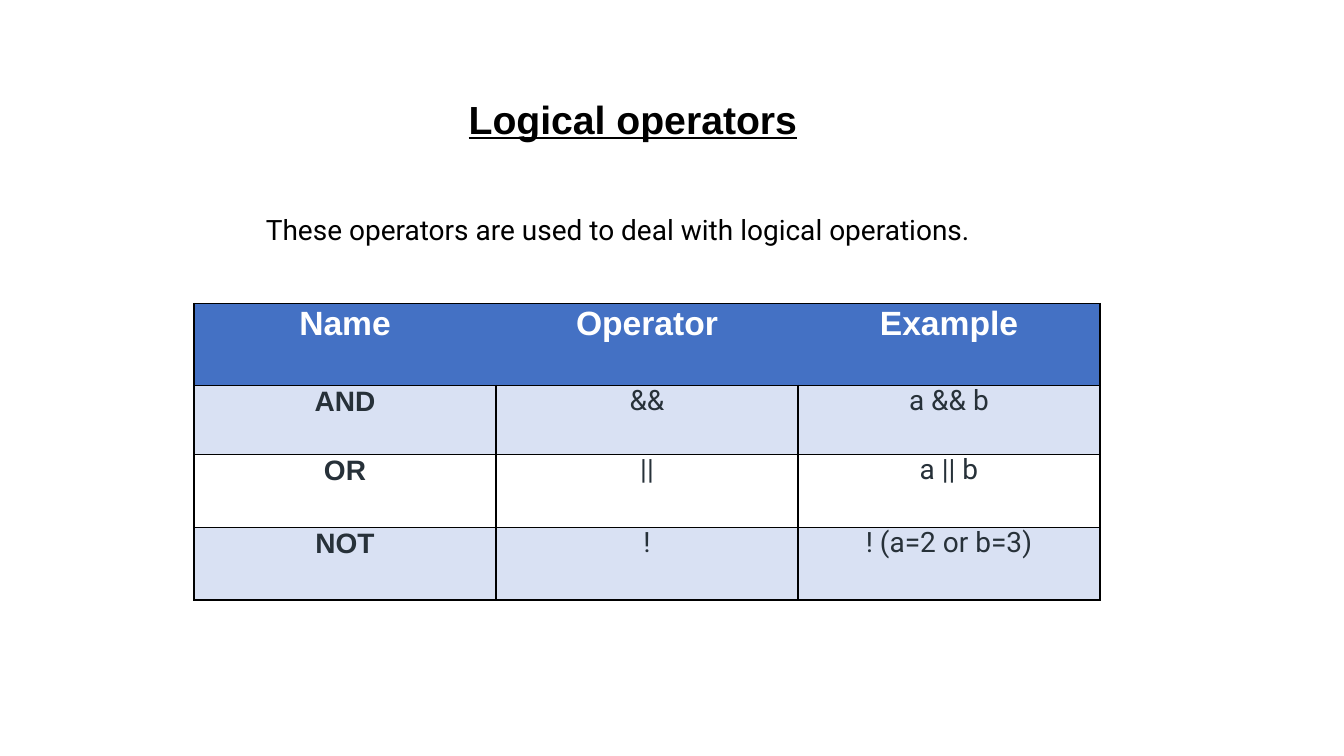
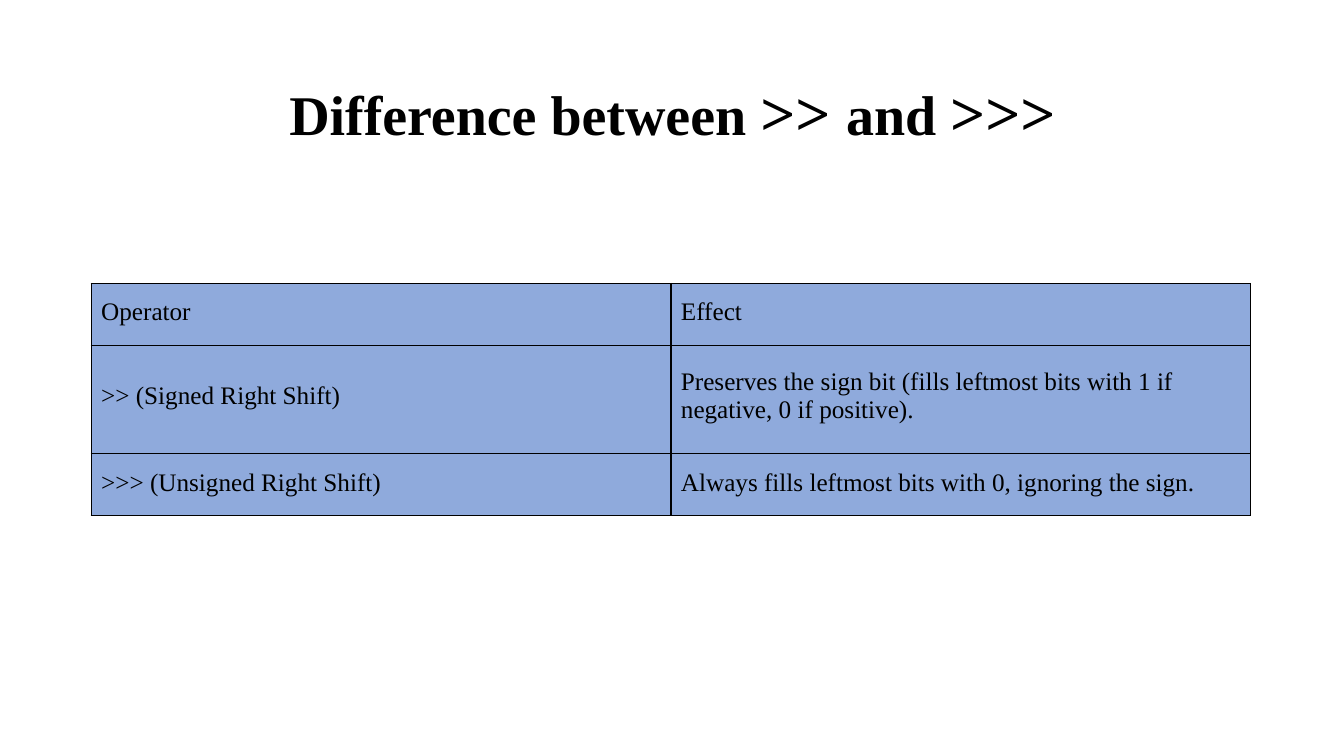
from dataclasses import dataclass
from typing import Any

from lxml import etree
from pptx import Presentation
from pptx.dml.color import RGBColor
from pptx.enum import text as t
from pptx.oxml.ns import qn
from pptx.util import Cm, Pt


@dataclass(frozen=True)
class Theme:
    ink: str = "000000"
    slate: str = "273139"
    white: str = "FFFFFF"
    header: str = "4471C4"
    band: str = "D9E1F3"
    shift: str = "8FAADC"
    sans: str = "Arial"
    body: str = "Roboto"
    serif: str = "Times New Roman"
    title: int = 28
    big_title: int = 40
    big_symbol: int = 44
    heading: int = 24
    text: int = 20
    small: int = 18
    border: float = 1


@dataclass(frozen=True)
class Grid:
    """Place of a table, in centimetres."""
    left: float
    top: float
    column: float
    rows: tuple[float, ...]


THEME = Theme()
LOGICAL = Grid(4.89, 7.65, 7.61, (2.06, 1.75, 1.83, 1.83))
SHIFTS = Grid(2.3, 7.14, 14.61, (1.56, 2.73, 1.56))

LOGICAL_ROWS = (
    ("Name", "Operator", "Example"),
    ("AND", "&&", "a && b"),
    ("OR", "||", "a || b"),
    ("NOT", "!", "! (a=2 or b=3)"),
)
# Each entry is the wording of a cell and its top margin in centimetres.
SHIFT_ROWS = (
    (("Operator", 0.38), ("Effect", 0.38)),
    ((">> (Signed Right Shift)", 0.93),
     ("Preserves the sign bit (fills leftmost bits with 1 if negative, 0 if positive).", 0.58)),
    ((">>> (Unsigned Right Shift)", 0.38),
     ("Always fills leftmost bits with 0, ignoring the sign.", 0.38)),
)


def add_span(para: Any, words: str, *, font: str, size: float, color: str = THEME.ink,
             bold: bool = False, underline: bool = False) -> None:
    span = para.add_run()
    span.text = words
    span.font.name = font
    span.font.size = Pt(size)
    span.font.color.rgb = RGBColor.from_string(color)
    span.font.bold = bold
    span.font.underline = underline


def set_frame(frame: Any, left: float = 0, top: float = 0) -> None:
    """Wrap the text from the top, with margins in centimetres."""
    frame.word_wrap = True
    frame.auto_size = t.MSO_AUTO_SIZE.NONE
    frame.vertical_anchor = t.MSO_ANCHOR.TOP
    frame.margin_left, frame.margin_top = Cm(left), Cm(top)
    frame.margin_right = frame.margin_bottom = 0


def add_titled_page(deck: Any, left: float, top: float) -> tuple[Any, Any]:
    """Return a new page and the paragraph of its title."""
    page = deck.slides.add_slide(deck.slide_layouts[5])
    title = page.shapes.title
    title.left, title.top, title.width, title.height = Cm(1.37), Cm(-0.15), Cm(31.14), Cm(4.29)
    set_frame(title.text_frame, left, top)
    para = title.text_frame.paragraphs[0]
    para.alignment = t.PP_ALIGN.LEFT
    return page, para


def add_grid(page: Any, grid: Grid, columns: int) -> Any:
    table = page.shapes.add_table(
        len(grid.rows), columns, Cm(grid.left), Cm(grid.top),
        Cm(grid.column * columns), Cm(sum(grid.rows))).table
    table.first_row = table.horz_banding = False
    for column in table.columns:
        column.width = Cm(grid.column)
    for row, height in zip(table.rows, grid.rows):
        row.height = Cm(height)
    return table


def set_borders(cell: Any, hidden: str = "") -> None:
    """Draw the sides L, R, T and B, except the hidden ones."""
    properties = cell._tc.get_or_add_tcPr()
    for index, side in enumerate("LRTB"):
        line = etree.Element(qn(f"a:ln{side}"), w=str(Pt(THEME.border)))
        if side in hidden:
            etree.SubElement(line, qn("a:noFill"))
        else:
            fill = etree.SubElement(line, qn("a:solidFill"))
            etree.SubElement(fill, qn("a:srgbClr"), val=THEME.ink)
        properties.insert(index, line)


def fill_cell(cell: Any, words: str, *, fill: str, left: float = 0, top: float = 0,
              align: Any = t.PP_ALIGN.LEFT, spacing: float | None = None,
              hidden: str = "", **style: Any) -> None:
    cell.fill.solid()
    cell.fill.fore_color.rgb = RGBColor.from_string(fill)
    cell.margin_left, cell.margin_top = Cm(left), Cm(top)
    cell.margin_right = cell.margin_bottom = 0
    set_borders(cell, hidden)
    para = cell.text_frame.paragraphs[0]
    para.alignment = align
    if spacing:
        para.line_spacing = Pt(spacing)
    add_span(para, words, **style)


def build_logical(deck: Any) -> None:
    page, title = add_titled_page(deck, 10.44, 2.54)
    add_span(title, "Logical operators", font=THEME.sans, size=THEME.title,
             bold=True, underline=True)

    box = page.shapes.add_textbox(Cm(6.6), Cm(5.28), Cm(18.2), Cm(0.91))
    set_frame(box.text_frame, 0.1, 0.07)
    add_span(box.text_frame.paragraphs[0],
             "These operators are used to deal with logical operations.",
             font=THEME.body, size=THEME.text)

    table = add_grid(page, LOGICAL, 3)
    for r, row in enumerate(LOGICAL_ROWS):
        for c, words in enumerate(row):
            if r == 0:
                look = dict(fill=THEME.header, color=THEME.white, size=THEME.heading,
                            spacing=27.6, hidden=("R", "LR", "L")[c])
            else:
                look = dict(fill=THEME.band if r % 2 else THEME.white,
                            color=THEME.slate, size=THEME.text, spacing=22.9)
            strong = r == 0 or c == 0
            fill_cell(table.cell(r, c), words, align=t.PP_ALIGN.CENTER, bold=strong,
                      font=THEME.sans if strong else THEME.body, **look)


def build_shifts(deck: Any) -> None:
    page, title = add_titled_page(deck, 5.92, 2.01)
    for words, size in (("Difference between ", THEME.big_title), (">> ", THEME.big_symbol),
                        ("and ", THEME.big_title), (">>>", THEME.big_symbol)):
        add_span(title, words, font=THEME.serif, size=size, bold=True)

    table = add_grid(page, SHIFTS, 2)
    for r, row in enumerate(SHIFT_ROWS):
        for c, (words, top) in enumerate(row):
            fill_cell(table.cell(r, c), words, fill=THEME.shift, left=0.25, top=top,
                      font=THEME.serif, size=THEME.small)


def main() -> None:
    deck = Presentation()
    deck.slide_width, deck.slide_height = Cm(33.87), Cm(19.05)
    build_logical(deck)
    build_shifts(deck)
    deck.save("out.pptx")


if __name__ == "__main__":
    main()
